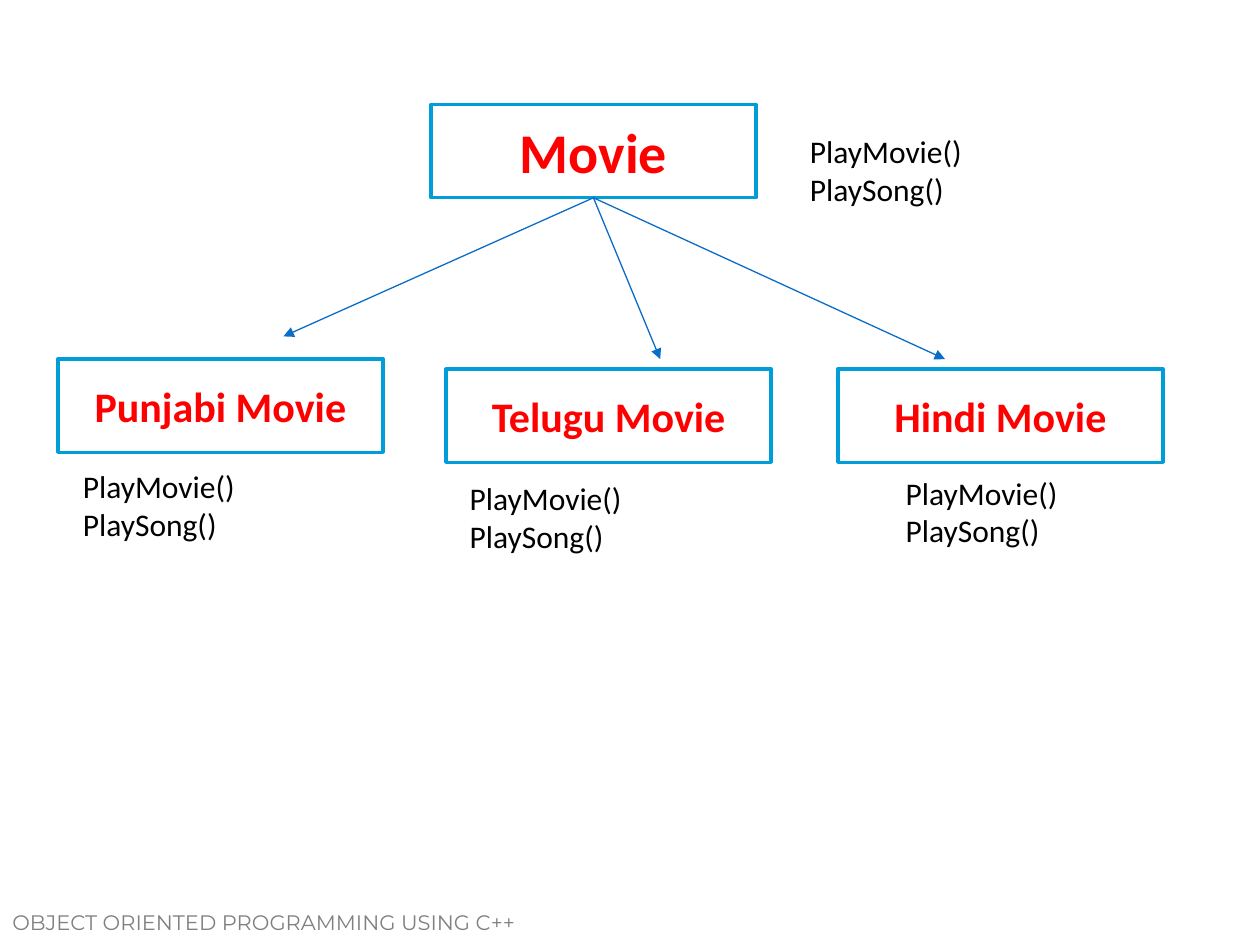
import pptx
import pptx.util
import pptx.dml.color
import pptx.enum.shapes
import pptx.enum.text
import pptx.oxml
import pptx.oxml.ns

FOOTER = "OBJECT ORIENTED PROGRAMMING USING C++"
METHODS = ["PlayMovie()", "PlaySong()"]
BOX_W, BOX_H, METHODS_H = 2.58, 0.74, 0.71
BASE = {"name": "Movie", "box": (3.42, 0.83), "methods": (6.33, 1, 2.12)}
DERIVED = [
    {"name": "Punjabi Movie", "box": (0.46, 2.85), "methods": (0.56, 3.66, 2.73), "tip": (2.25, 2.67)},
    {"name": "Telugu Movie", "box": (3.54, 2.93), "methods": (3.63, 3.75, 2.73), "tip": (5.24, 2.85)},
    {"name": "Hindi Movie", "box": (6.65, 2.93), "methods": (7.09, 3.71, 2.73), "tip": (7.5, 2.85)},
]
inch = pptx.util.Inches


def rgb(value):
    """Return the colour of a hex string."""
    return pptx.dml.color.RGBColor.from_string(value)


def write(sp, lines, size, color="000000", font="Calibri", bold=False, center=False):
    """Fill a shape with one paragraph per line."""
    tf = sp.text_frame
    tf.word_wrap = True
    for i, line in enumerate(lines):
        p = tf.add_paragraph() if i else tf.paragraphs[0]
        if center:
            p.alignment = pptx.enum.text.PP_ALIGN.CENTER
        r = p.add_run()
        r.text = line
        r.font.size, r.font.name, r.font.bold = pptx.util.Pt(size), font, bold
        r.font.color.rgb = rgb(color)


def add_text(s, at, lines, size, **fmt):
    """Add a text box."""
    sp = s.shapes.add_textbox(*map(inch, at))
    write(sp, lines, size, **fmt)


def add_class(s, item, size):
    """Add a class box with its methods and return the box."""
    sp = s.shapes.add_shape(pptx.enum.shapes.MSO_SHAPE.RECTANGLE,
                            *map(inch, (*item["box"], BOX_W, BOX_H)))
    sp.shadow.inherit = False
    sp.fill.solid()
    sp.fill.fore_color.rgb = rgb("FFFFFF")
    sp.line.color.rgb = rgb("009DD9")
    sp.line.width = pptx.util.Pt(2)
    sp.text_frame.vertical_anchor = pptx.enum.text.MSO_ANCHOR.MIDDLE
    write(sp, [item["name"]], size, color="FF0000", bold=True, center=True)
    add_text(s, (*item["methods"], METHODS_H), METHODS, 18)
    return sp


def add_arrow(s, box, tip):
    """Add an arrow from the bottom of a box to a point."""
    c = s.shapes.add_connector(pptx.enum.shapes.MSO_CONNECTOR.STRAIGHT, 0, 0, *map(inch, tip))
    c.begin_connect(box, 2)
    c.line.color.rgb = rgb("0A6DC6")
    c.line.width = pptx.util.Pt(0.75)
    ns = pptx.oxml.ns.nsdecls("a")
    c.line._get_or_add_ln().append(pptx.oxml.parse_xml(f'<a:tailEnd {ns} type="triangle"/>'))
    c._element.spPr.append(pptx.oxml.parse_xml(f"<a:effectLst {ns}/>"))


def main():
    """Build the class hierarchy slide."""
    prs = pptx.Presentation()
    prs.slide_width, prs.slide_height = inch(10), inch(7.5)
    s = prs.slides.add_slide(prs.slide_layouts[6])
    add_text(s, (0, 7.17, 5, 0.42), [FOOTER], 12, color="808080", font="Montserrat")
    base = add_class(s, BASE, 32)
    for item in DERIVED:
        add_class(s, item, 24)
        add_arrow(s, base, item["tip"])
    prs.save("out.pptx")


if __name__ == "__main__":
    main()
